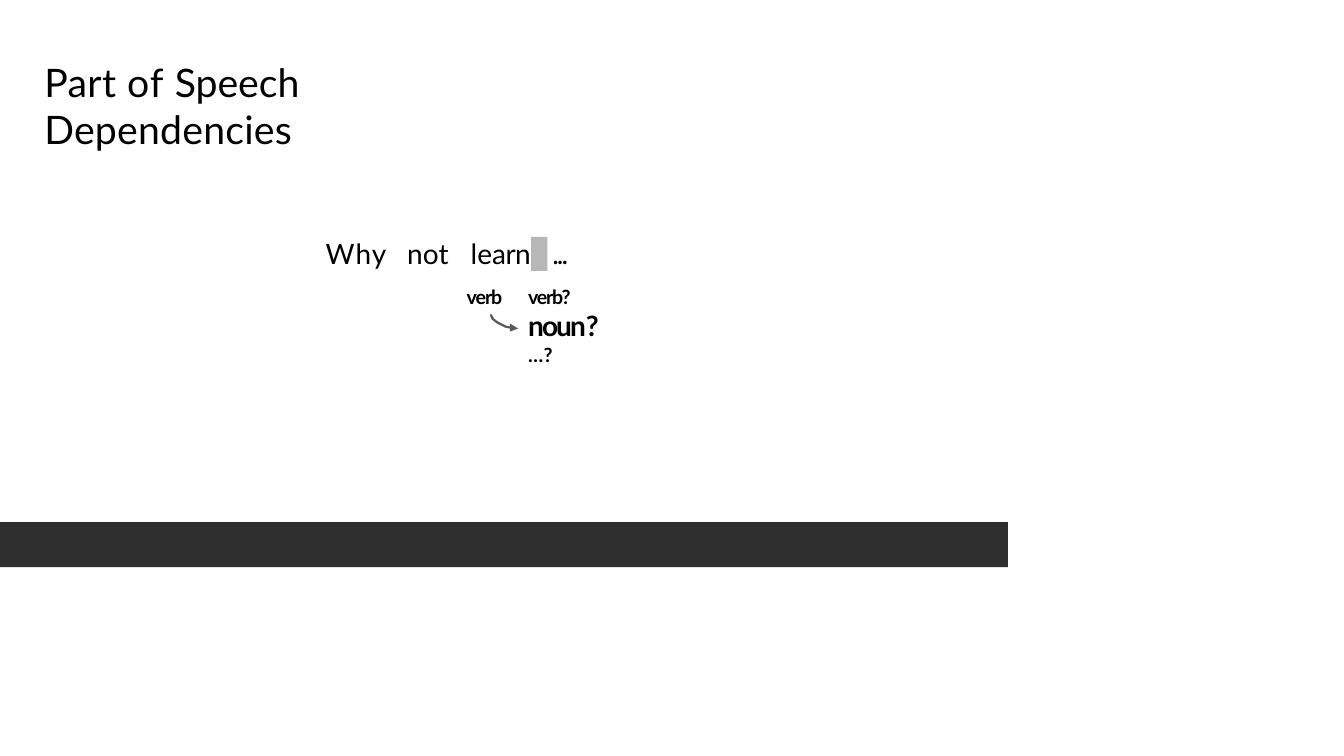
from dataclasses import dataclass

from lxml import etree
from pptx import Presentation
from pptx.dml.color import RGBColor
from pptx.enum.shapes import MSO_CONNECTOR, MSO_SHAPE
from pptx.enum.text import MSO_AUTO_SIZE
from pptx.oxml.ns import qn
from pptx.util import Inches, Pt

RECTANGLE = MSO_SHAPE.RECTANGLE
STRAIGHT = MSO_CONNECTOR.STRAIGHT
GROW = MSO_AUTO_SIZE.SHAPE_TO_FIT_TEXT

# Grid: 40 columns by 22.5 rows of square cells
COLUMNS, ROWS = 40, 22.5
CELL = Inches(1) / 3
ARROW_STEP = 0.03  # arrow points are counted in this share of a cell


@dataclass(frozen=True)
class Theme:
    font: str = "Lato"
    ink: str = "000000"
    footer: str = "2F2F2F"
    cursor: str = "B7B7B7"
    arrow: str = "585858"
    title: int = 28
    word: int = 20
    tag: int = 14
    hairline: float = 0.75


@dataclass(frozen=True)
class Area:
    column: float
    row: float
    columns: float
    rows: float


@dataclass(frozen=True)
class Line:
    spans: tuple  # (text, letter spacing in points)
    size: int
    before: float = 1
    bold: bool = False
    tabs: tuple = ()  # columns from the left edge of the box


@dataclass(frozen=True)
class Label:
    area: Area
    lines: tuple


@dataclass(frozen=True)
class Block:
    area: Area
    colour: str


THEME = Theme()

FOOTER = Block(Area(0, 15.54, 30, 1.34), THEME.footer)
CURSOR = Block(Area(15.81, 7.05, 0.48, 1.01), THEME.cursor)

LABELS = (
    Label(Area(15.69, 8.46, 2.37, 2.49), (
        Line((("verb?", -0.9),), THEME.tag, bold=True),
        Line((("noun", -1.4), ("?", -2.1)), THEME.word, 0.1, True),
        Line((("… ", -3.2), ("?", -1.5)), THEME.tag, 0, True),
    )),
    Label(Area(1.29, 1.71, 15, 1.47), (
        Line((("Part ", 0.3), ("of ", 0.7), ("Speech ", 0),
              ("Dependencies", 0.2)), THEME.title, 0.9),
    )),
    Label(Area(9.66, 7.02, 7.38, 1.08), (
        Line((("Why\t", 0.8), ("not\t", 0.1), ("l", -0.1), ("e", -0.3),
              ("arn\t", -0.4), ("...", -1.4)), THEME.word,
             tabs=(2.43, 4.32, 6.75)),
    )),
    Label(Area(13.86, 8.46, 1.26, 0.78), (
        Line((("verb", -0.8),), THEME.tag, bold=True),
    )),
)

ARROW_AT = (14.58, 9.36)
ARROW_OUTLINE = (
    (2, 0), (0, 0), (0, 1), (2, 5), (7, 9), (11, 11), (15, 13), (20, 14),
    (20, 17), (28, 14), (20, 9), (20, 12), (16, 11), (12, 9), (8, 7), (4, 4),
)


def cells(count: float) -> int:
    return round(count * CELL)


def place(area: Area) -> list[int]:
    return [cells(n) for n in (area.column, area.row, area.columns, area.rows)]


def apply_format(target, values: dict) -> None:
    for name, value in values.items():
        setattr(target, name, value)


def paint(shape, colour: str) -> None:
    shape.shadow.inherit = False
    shape.fill.solid()
    shape.fill.fore_color.rgb = RGBColor.from_string(colour)
    shape.line.fill.background()


def draw_block(page, block: Block) -> None:
    paint(page.shapes.add_shape(RECTANGLE, *place(block.area)), block.colour)


def draw_top_edge(page, block: Block) -> None:
    left, top, width, _ = place(block.area)
    edge = page.shapes.add_connector(STRAIGHT, left + width, top, left, top)
    edge.line.color.rgb = RGBColor.from_string(block.colour)
    edge.line.width = Pt(THEME.hairline)
    etree.SubElement(edge._element.spPr, qn("a:effectLst"))


def draw_arrow(page) -> None:
    first, *rest = ARROW_OUTLINE
    builder = page.shapes.build_freeform(*first, scale=CELL * ARROW_STEP)
    builder.add_line_segments(rest, close=True)
    paint(builder.convert_to_shape(*map(cells, ARROW_AT)), THEME.arrow)


def write_line(para, line: Line) -> None:
    para.space_before = Pt(line.before)
    properties = para._p.get_or_add_pPr()
    properties.set("marL", str(Inches(0.01)))
    if line.tabs:
        stops = etree.SubElement(properties, qn("a:tabLst"))
        for stop in line.tabs:
            etree.SubElement(stops, qn("a:tab"), pos=str(cells(stop)), algn="l")
    for text, spacing in line.spans:
        span = para.add_run()
        span.text = text
        apply_format(span.font, {"name": THEME.font, "size": Pt(line.size),
                                 "bold": line.bold})
        span.font.color.rgb = RGBColor.from_string(THEME.ink)
        span.font._element.set("spc", str(round(spacing * 100)))


def draw_label(page, label: Label) -> None:
    box = page.shapes.add_textbox(*place(label.area))
    frame = box.text_frame
    apply_format(frame, {"margin_left": 0, "margin_top": Inches(0.01),
                         "margin_right": 0, "margin_bottom": 0,
                         "word_wrap": True, "auto_size": GROW})
    for index, line in enumerate(label.lines):
        para = frame.add_paragraph() if index else frame.paragraphs[0]
        write_line(para, line)


def main() -> None:
    deck = Presentation()
    apply_format(deck, {"slide_width": cells(COLUMNS),
                        "slide_height": cells(ROWS)})
    page = deck.slides.add_slide(deck.slide_layouts[6])

    # Footer bar
    draw_block(page, FOOTER)
    draw_top_edge(page, FOOTER)

    # Title, phrase with its cursor, and word classes
    draw_block(page, CURSOR)
    for label in LABELS:
        draw_label(page, label)

    # Arrow from the known class to the likely next one
    draw_arrow(page)
    deck.save("out.pptx")


if __name__ == "__main__":
    main()
